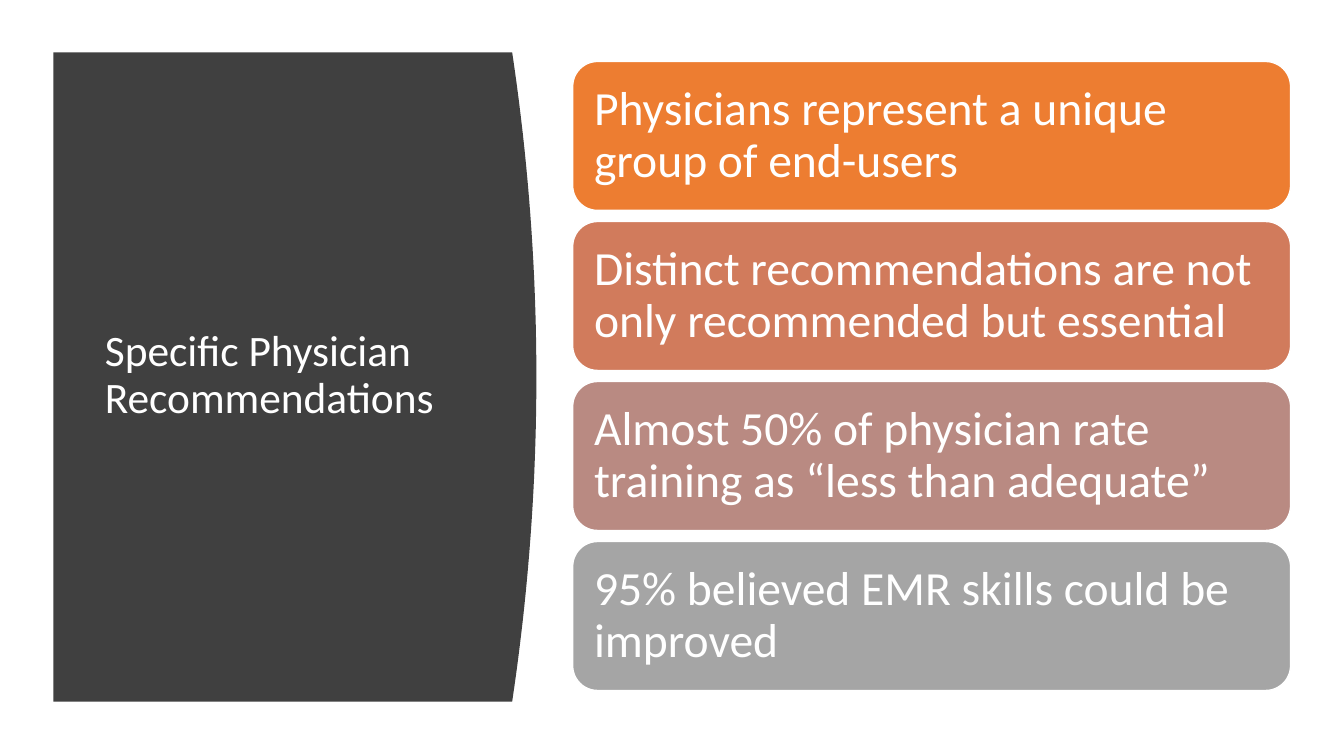
from pptx import Presentation, util as u
from pptx.dml.color import RGBColor
from pptx.enum import shapes, text

WIDE, HIGH = 13.33, 7.5
CARDS = [
    ("Physicians represent a unique group of end-users", "ED7D31"),
    ("Distinct recommendations are not only recommended but essential", "D17B5C"),
    ("Almost 50% of physician rate training as “less than adequate”", "B98A82"),
    ("95% believed EMR skills could be improved", "A5A5A5"),
]


def paint(part, color):
    part.solid()
    part.fore_color.rgb = RGBColor.from_string(color)


def write(shape, words, size, **frame):
    """Put white, left-aligned words in a shape."""
    body = shape.text_frame
    body.text = words
    frame = dict(word_wrap=True, auto_size=text.MSO_AUTO_SIZE.NONE,
                 vertical_anchor=text.MSO_ANCHOR.MIDDLE) | frame
    for name, value in frame.items():
        setattr(body, name, value)
    para = body.paragraphs[0]
    para.alignment, para.line_spacing = text.PP_ALIGN.LEFT, 0.9
    for name, value in dict(name="Calibri", size=u.Pt(size), bold=False).items():
        setattr(para.font, name, value)
    paint(para.font.fill, "FFFFFF")


def panel(slide, left, top, width, height, bulge=0.24, steps=40):
    """Dark title panel with a bowed right edge."""
    edge = []
    for i in range(steps + 1):
        bow = 1 - (2 * i / steps - 1) ** 2
        edge.append((left + width - bulge * (1 - bow), top + height * i / steps))
    dots = [(u.Inches(x), u.Inches(y)) for x, y in edge + [(left, top + height)]]
    pen = slide.shapes.build_freeform(u.Inches(left), u.Inches(top))
    pen.add_line_segments(dots, close=True)
    back = pen.convert_to_shape()
    back.shadow.inherit = False
    paint(back.fill, "404040")
    back.line.fill.background()

    # Title sits in front of the panel
    title = slide.shapes.title
    title.element.addprevious(back.element)
    place = dict(left=left + 0.41, top=top + 0.59, width=3.74, height=height - 1.2)
    for name, value in place.items():
        setattr(title, name, u.Inches(value))
    write(title, "Specific Physician Recommendations", 31)


def cards(slide, left, top, width, height, gap=0.11):
    """Equal rounded cards stacked down the box."""
    tall = (height - gap * (len(CARDS) - 1)) / len(CARDS)
    pad = dict.fromkeys(("margin_left", "margin_top", "margin_right",
                         "margin_bottom"), u.Inches(0.14))
    for row, (words, color) in enumerate(CARDS):
        box = (left, top + row * (tall + gap), width, tall)
        card = slide.shapes.add_shape(shapes.MSO_SHAPE.ROUNDED_RECTANGLE,
                                      *map(u.Inches, box))
        card.shadow.inherit = False
        paint(card.fill, color)
        paint(card.line.fill, "FFFFFF")
        card.line.width = u.Pt(1)
        write(card, words, 34, **pad)


def main():
    deck = Presentation()
    deck.slide_width, deck.slide_height = u.Inches(WIDE), u.Inches(HIGH)
    slide = deck.slides.add_slide(deck.slide_layouts[5])
    panel(slide, 0.53, 0.52, 4.79, 6.44)
    cards(slide, 5.68, 0.61, 7.12, 6.24)
    deck.save("out.pptx")


if __name__ == "__main__":
    main()
